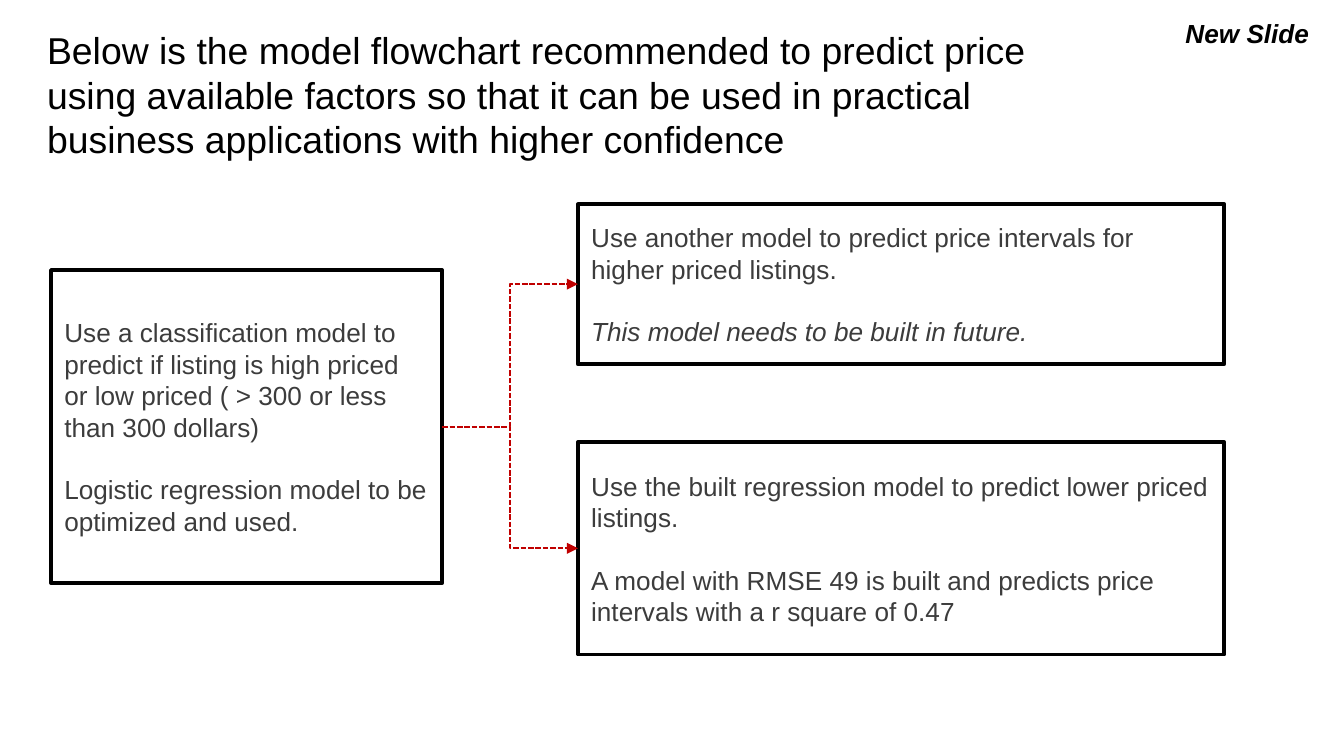
from pptx import Presentation
from pptx.dml.color import RGBColor
from pptx.enum.dml import MSO_LINE
from pptx.enum.shapes import MSO_CONNECTOR, MSO_SHAPE
from pptx.enum.text import MSO_ANCHOR, MSO_AUTO_SIZE, PP_ALIGN
from pptx.oxml.ns import qn
from pptx.util import Inches, Pt
from lxml import etree

BLACK = RGBColor(0x00, 0x00, 0x00)
GREY = RGBColor(0x3C, 0x3C, 0x3C)
RED = RGBColor(0xC0, 0x00, 0x00)

RECTANGLE = MSO_SHAPE.RECTANGLE
ELBOW = MSO_CONNECTOR.ELBOW
SHORT_DASH = MSO_LINE.SQUARE_DOT
TOP = MSO_ANCHOR.TOP
MIDDLE = MSO_ANCHOR.MIDDLE
LEFT = PP_ALIGN.LEFT
RIGHT = PP_ALIGN.RIGHT
NO_AUTOFIT = MSO_AUTO_SIZE.NONE
GROW = MSO_AUTO_SIZE.SHAPE_TO_FIT_TEXT

LEFT_SIDE, RIGHT_SIDE = 1, 3
PARAGRAPH_GAP = Pt(16.8)


def style_paragraph(para, size, color, align=LEFT, bold=False, italic=False):
    para.alignment = align
    para.font.name = "Arial"
    para.font.size = Pt(size)
    para.font.color.rgb = color
    para.font.bold = bold
    para.font.italic = italic


def set_title(page, text):
    title = page.shapes.title
    title.left, title.top = Inches(0.25), Inches(0.1)
    title.width, title.height = Inches(7.68), Inches(0.63)
    frame = title.text_frame
    frame.text = text
    frame.word_wrap = True
    frame.auto_size = NO_AUTOFIT
    frame.vertical_anchor = TOP
    frame.margin_left = frame.margin_right = Inches(0.1)
    frame.margin_top = frame.margin_bottom = Inches(0.1)
    style_paragraph(frame.paragraphs[0], 20, BLACK)


def add_label(page, text):
    box = page.shapes.add_textbox(Inches(7.17), Inches(0.08), Inches(2.67), Inches(0.34))
    frame = box.text_frame
    frame.word_wrap = True
    frame.auto_size = GROW
    frame.text = text
    style_paragraph(frame.paragraphs[0], 14, BLACK, RIGHT, bold=True, italic=True)


def add_step(page, left, top, width, height, action, status, italic_status=False):
    box = page.shapes.add_shape(
        RECTANGLE, Inches(left), Inches(top), Inches(width), Inches(height)
    )
    box.shadow.inherit = False
    box.fill.background()
    box.line.color.rgb = BLACK
    box.line.width = Pt(2)
    frame = box.text_frame
    frame.word_wrap = True
    frame.vertical_anchor = MIDDLE
    frame.text = action
    style_paragraph(frame.paragraphs[0], 14, GREY)
    para = frame.add_paragraph()
    para.text = status
    para.space_before = PARAGRAPH_GAP
    style_paragraph(para, 14, GREY, italic=italic_status)
    return box


def add_branch(page, source, target):
    branch = page.shapes.add_connector(
        ELBOW,
        source.left + source.width,
        source.top + source.height // 2,
        target.left,
        target.top + target.height // 2,
    )
    branch.begin_connect(source, RIGHT_SIDE)
    branch.end_connect(target, LEFT_SIDE)
    branch.line.color.rgb = RED
    branch.line.width = Pt(1)
    branch.line.dash_style = SHORT_DASH
    outline = branch._element.spPr.find(qn("a:ln"))
    etree.SubElement(outline, qn("a:tailEnd"), type="triangle")
    etree.SubElement(branch._element.spPr, qn("a:effectLst"))


def main():
    deck = Presentation()
    deck.slide_width = Inches(10)
    deck.slide_height = deck.slide_width * 9 // 16
    page = deck.slides.add_slide(deck.slide_layouts[5])

    set_title(
        page,
        "Below is the model flowchart recommended to predict price using available "
        "factors so that it can be used in practical business applications with "
        "higher confidence",
    )
    add_label(page, "New Slide")

    classifier = add_step(
        page, 0.38, 2.01, 2.91, 2.33,
        "Use a classification model to predict if listing is high priced or low "
        "priced ( > 300 or less than 300 dollars)",
        "Logistic regression model to be optimized and used.",
    )
    high_price = add_step(
        page, 4.3, 1.52, 4.81, 1.19,
        "Use another model to predict price intervals for higher priced listings.",
        "This model needs to be built in future.",
        italic_status=True,
    )
    low_price = add_step(
        page, 4.3, 3.29, 4.81, 1.58,
        "Use the built regression model to predict lower priced listings.",
        "A model with RMSE 49 is built and predicts price intervals with a r square of 0.47",
    )
    for model in (high_price, low_price):
        add_branch(page, classifier, model)

    deck.save("out.pptx")


if __name__ == "__main__":
    main()
